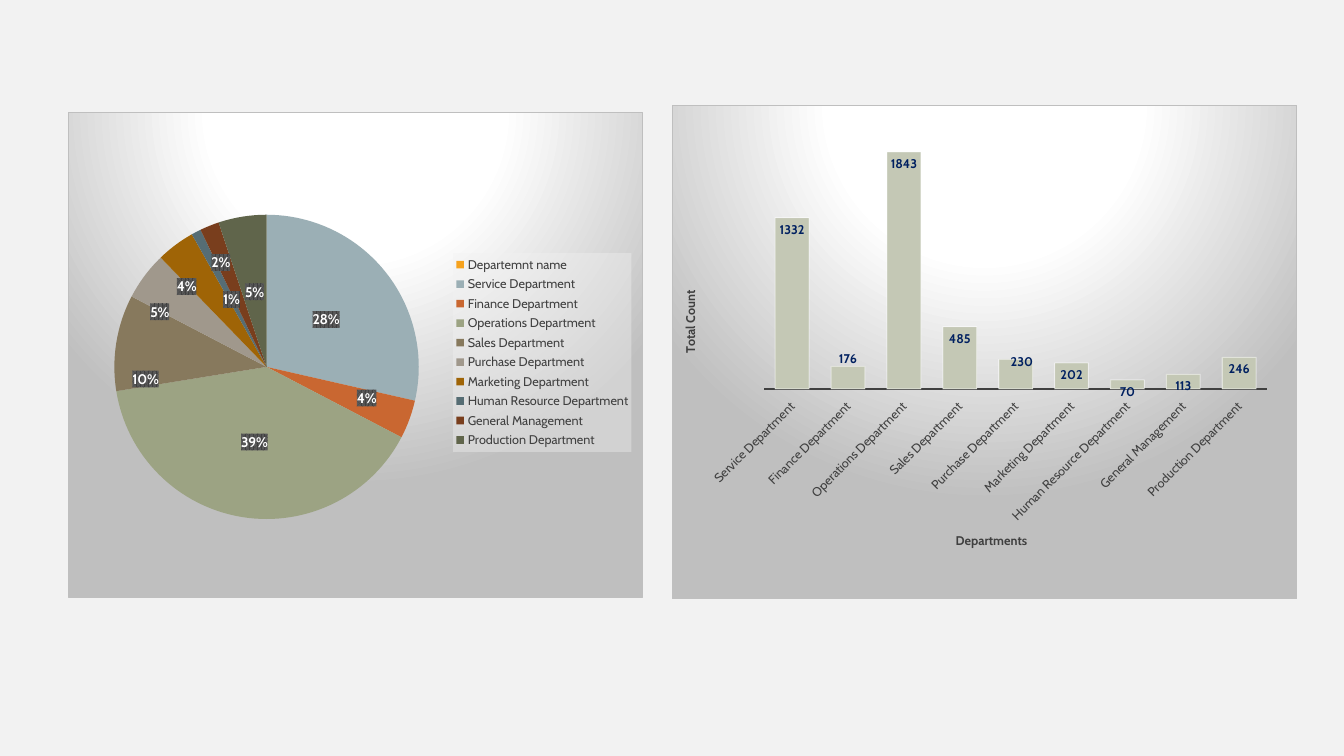
from copy import deepcopy
from dataclasses import dataclass

from pptx import Presentation
from pptx.chart.data import CategoryChartData
from pptx.dml.color import RGBColor
from pptx.enum.chart import XL_CHART_TYPE as ChartType
from pptx.enum.chart import XL_LABEL_POSITION as LabelPosition
from pptx.enum.chart import XL_LEGEND_POSITION as LegendPosition
from pptx.enum.chart import XL_TICK_LABEL_POSITION as TickLabelPosition
from pptx.enum.chart import XL_TICK_MARK as TickMark
from pptx.oxml import parse_xml
from pptx.oxml.ns import nsdecls, qn
from pptx.util import Pt

FONT = "Cabin"
DARK, GRAY, WHITE, NAVY = "404040", "BFBFBF", "FFFFFF", "002060"


@dataclass(frozen=True)
class Department:
    name: str
    share: int
    count: int
    color: str
    pie_offset: tuple[float, float] | None = None
    bar_offset: tuple[float, float] | None = None


@dataclass(frozen=True)
class Panel:
    chart_type: int
    left: float
    top: float
    width: float
    height: float
    plot: tuple[float, float, float, float]


HEADING = Department("Departemnt name", 0, 0, "F6A21D")
DEPARTMENTS = [
    Department("Service Department", 28, 1332, "9BAFB5"),
    Department("Finance Department", 4, 176, "C96731", (0.05, 0.01), (0, -0.04)),
    Department("Operations Department", 39, 1843, "9CA383"),
    Department("Sales Department", 10, 485, "87795D", (-0.08, 0.05)),
    Department("Purchase Department", 5, 230, "A0988C", (-0.08, -0.02), (0.01, -0.02)),
    Department("Marketing Department", 4, 202, "9F6406", (-0.06, -0.04)),
    Department("Human Resource Department", 1, 70, "566D74"),
    Department("General Management", 2, 113, "793E1D", (-0.03, -0.07)),
    Department("Production Department", 5, 246, "60654B"),
]
PIE = Panel(ChartType.PIE, 48.5, 80, 411, 347, (0.08, 0.21, 0.53, 0.63))
BARS = Panel(ChartType.COLUMN_CLUSTERED, 480, 75, 446.5, 353, (0.147, 0.053, 0.806, 0.522))


def rgb(color: str) -> RGBColor:
    return RGBColor.from_string(color)


def solid(color: str, alpha: int = 100) -> str:
    return f'<a:solidFill><a:srgbClr val="{color}"><a:alpha val="{alpha * 1000}"/></a:srgbClr></a:solidFill>'


def shape_format(content: str):
    return parse_xml(f'<c:spPr {nsdecls("c", "a")}>{content}</c:spPr>')


def format_font(font, size: float, color: str, bold: bool = False) -> None:
    font.name, font.size, font.bold = FONT, Pt(size), bold
    font.color.rgb = rgb(color)


def write_text(frame, text: str, *, size: float, color: str, bold: bool, rotation: int = 0) -> None:
    run = frame.paragraphs[0].add_run()
    run.text = text
    format_font(run.font, size, color, bold)
    body = frame._txBody.find(qn("a:bodyPr"))
    body.set("rot", str(rotation * 60000))
    body.set("vert", "horz")


def place(parent, index: int, box: tuple[float, ...], edge: bool = True, inner: bool = False) -> None:
    for layout in parent.findall(qn("c:layout")):
        parent.remove(layout)
    target = '<c:layoutTarget val="inner"/>' if inner else ""
    modes = '<c:xMode val="edge"/><c:yMode val="edge"/>' if edge else ""
    sizes = "".join(f'<c:{key} val="{value}"/>' for key, value in zip("xywh", box))
    parent.insert(index, parse_xml(
        f'<c:layout {nsdecls("c")}><c:manualLayout>{target}{modes}{sizes}</c:manualLayout></c:layout>'))


def add_panel(slide, panel: Panel, names: list[str], values: list[int]):
    data = CategoryChartData()
    data.categories = names
    data.add_series("Series 1", values)
    chart = slide.shapes.add_chart(
        panel.chart_type, Pt(panel.left), Pt(panel.top), Pt(panel.width), Pt(panel.height), data).chart
    chart.has_title = False
    chart.has_legend = False
    format_font(chart.font, 10, "000000")
    stops = "".join(
        f'<a:gs pos="{position * 1000}"><a:srgbClr val="{color}"/></a:gs>'
        for position, color in [(0, WHITE), (39, WHITE), (100, GRAY)])
    background = shape_format(
        f'<a:gradFill><a:gsLst>{stops}</a:gsLst><a:path path="circle">'
        '<a:fillToRect l="50000" t="-80000" r="50000" b="180000"/></a:path></a:gradFill>'
        f'<a:ln w="{Pt(0.75)}">{solid(GRAY)}</a:ln>')
    space = chart._chartSpace
    space.find(qn("c:txPr")).addprevious(background)
    place(space.find(".//" + qn("c:plotArea")), 0, panel.plot, inner=True)
    chart.plots[0].vary_by_categories = panel.chart_type == ChartType.PIE
    return chart


def label_series(series, position, size: float, color: str, number_format: str):
    labels = series.data_labels
    labels.show_value = True
    labels.number_format = number_format
    labels.number_format_is_linked = False
    labels.position = position
    format_font(labels.font, size, color, True)
    return labels


def move_label(series, index: int, offset: tuple[float, float], position) -> None:
    series.points[index].data_label.position = position
    labels = series.data_labels._element
    label = labels.xpath(f'c:dLbl[c:idx/@val="{index}"]')[0]
    place(label, 1, offset, edge=False)
    for tag in ("c:txPr", "c:spPr", "c:numFmt"):
        for old in label.findall(qn(tag)):
            label.remove(old)
        common = labels.find(qn(tag))
        if common is not None:
            label.insert(2, deepcopy(common))


def add_share_pie(slide) -> None:
    slices = [HEADING, *DEPARTMENTS]
    chart = add_panel(slide, PIE, [item.name for item in slices], [item.share for item in slices])
    series = chart.plots[0].series[0]
    labels = label_series(series, LabelPosition.CENTER, 10, WHITE, '0"%"')._element
    labels.find(qn("c:numFmt")).addnext(shape_format(
        '<a:pattFill prst="pct75"><a:fgClr><a:srgbClr val="404040"/></a:fgClr>'
        '<a:bgClr><a:srgbClr val="595959"/></a:bgClr></a:pattFill>'))
    for index, item in enumerate(slices):
        point_format = series.points[index].format
        point_format.fill.solid()
        point_format.fill.fore_color.rgb = rgb(item.color)
        point_format.line.fill.background()
        if item.pie_offset:
            move_label(series, index, item.pie_offset, LabelPosition.CENTER)
    labels.insert(0, parse_xml(
        f'<c:dLbl {nsdecls("c")}><c:idx val="0"/><c:delete val="1"/></c:dLbl>'))
    chart.has_legend = True
    legend = chart.legend
    legend.position = LegendPosition.RIGHT
    legend.include_in_layout = False
    format_font(legend.font, 9, DARK)
    place(legend._element, 1, (0.67, 0.29, 0.31, 0.41))
    legend._element.find(qn("c:overlay")).addnext(shape_format(solid("F2F2F2", 39)))


def add_count_bars(slide) -> None:
    chart = add_panel(
        slide, BARS, [item.name for item in DEPARTMENTS], [item.count for item in DEPARTMENTS])
    plot = chart.plots[0]
    plot.gap_width = 65
    series = plot.series[0]
    series.format.fill.solid()
    series.format.fill.fore_color.rgb = rgb("C4C8B5")
    series.format.line.width = Pt(0.75)
    series.format.line.color.rgb = rgb(WHITE)
    white = series._element.find(".//" + qn("a:ln")).find(".//" + qn("a:srgbClr"))
    white.append(parse_xml(f'<a:alpha {nsdecls("a")} val="50000"/>'))
    label_series(series, LabelPosition.INSIDE_END, 9, NAVY, "General")
    for index, item in enumerate(DEPARTMENTS):
        if item.bar_offset:
            move_label(series, index, item.bar_offset, LabelPosition.INSIDE_END)

    category, value = chart.category_axis, chart.value_axis
    category.major_tick_mark = category.minor_tick_mark = TickMark.NONE
    category.tick_label_position = TickLabelPosition.LOW
    category.format.line.color.rgb = rgb(DARK)
    category.format.line.width = Pt(1.5)
    format_font(category.tick_labels.font, 9, DARK)
    category._element.find(qn("c:txPr")).find(qn("a:bodyPr")).set("rot", str(-45 * 60000))
    value.minimum_scale, value.maximum_scale = 0, 2000
    value.has_major_gridlines = False
    value.visible = False
    for axis, text, rotation, corner in [
        (category, "Departments", 0, (0.45, 0.86)),
        (value, "Total Count", -90, (0.01, 0.37)),
    ]:
        title = axis.axis_title
        write_text(title.text_frame, text, size=9, color=DARK, bold=True, rotation=rotation)
        place(title._element, 1, corner)


def main() -> None:
    presentation = Presentation()
    presentation.slide_width, presentation.slide_height = Pt(960), Pt(540)
    slide = presentation.slides.add_slide(presentation.slide_layouts[6])
    slide.background.fill.solid()
    slide.background.fill.fore_color.rgb = rgb("F2F2F2")
    add_share_pie(slide)
    add_count_bars(slide)
    presentation.save("out.pptx")


if __name__ == "__main__":
    main()
